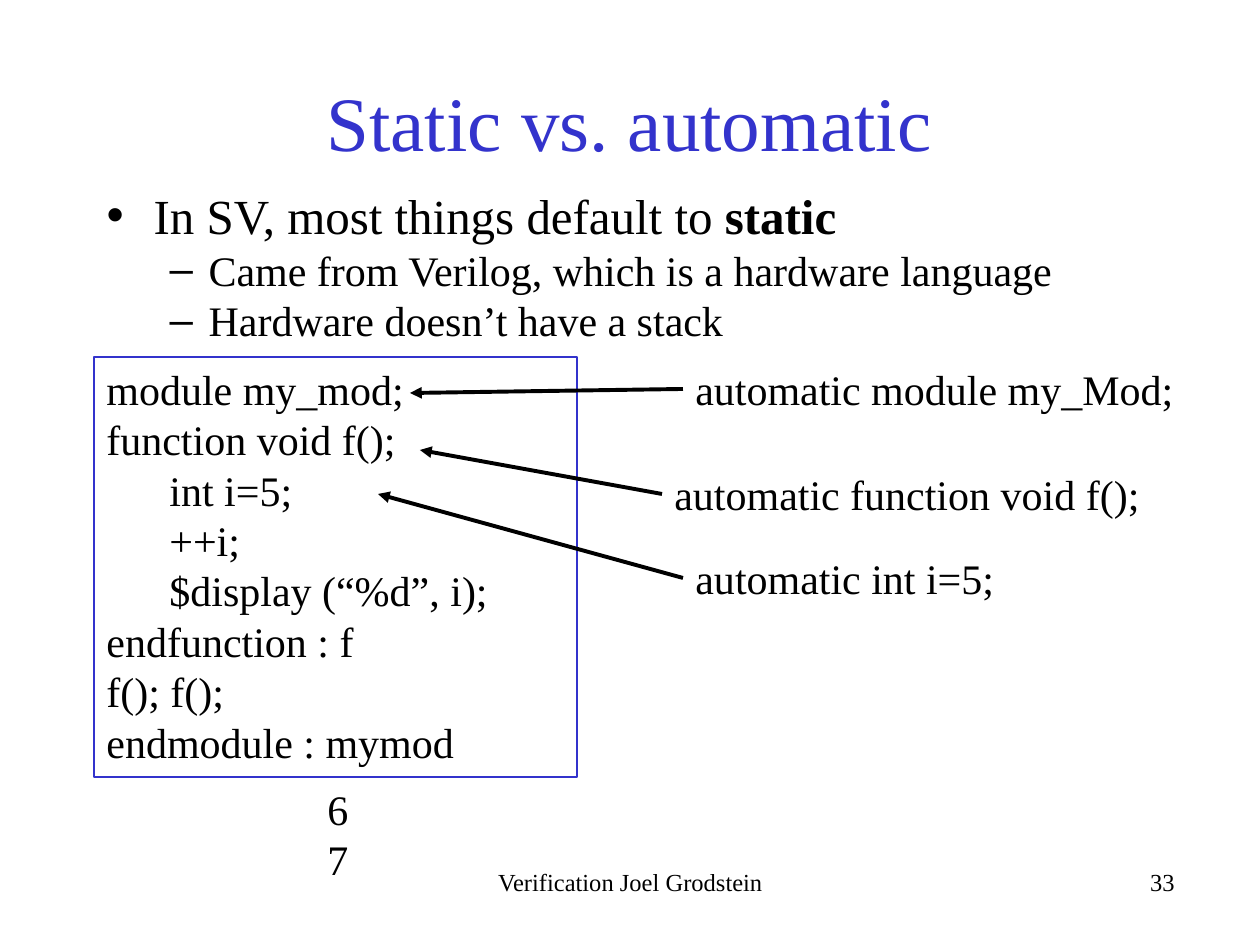
import pptx
import pptx.util
import pptx.dml.color
import pptx.enum.text
import pptx.enum.shapes
import pptx.oxml.ns
import lxml.etree

EMU_PER_PIXEL = 914400 / 126
FONT = "Times New Roman"
BLACK = pptx.dml.color.RGBColor(0x00, 0x00, 0x00)
BLUE = pptx.dml.color.RGBColor(0x33, 0x33, 0xCC)
ALIGN = pptx.enum.text.PP_ALIGN
ANCHOR = pptx.enum.text.MSO_ANCHOR

BULLETS = [
    (0, [("In SV, most things default to ", False), ("static", True)]),
    (1, [("Came from Verilog, which is a hardware language", False)]),
    (1, [("Hardware doesn’t have a stack", False)]),
]
LEVELS = [
    {"size": 28, "margin": 47, "hang": 47, "mark": "•", "before": 5.6},
    {"size": 24, "margin": 102, "hang": 39, "mark": "–", "before": 0},
]
CODE = [
    "module my_mod;",
    "function void f();",
    "\tint i=5;",
    "\t++i;",
    "\t$display (“%d”, i);",
    "endfunction : f",
    "f(); f();",
    "endmodule : mymod",
]
REPLACEMENTS = [
    ("automatic module my_Mod;", (683, 357, 514, 63), (683, 389), (410, 393)),
    ("automatic function void f();", (662, 462, 514, 63), (662, 494), (420, 450)),
    ("automatic int i=5;", (683, 546, 336, 63), (683, 578), (378, 494)),
]


def px(pixels):
    return pptx.util.Emu(round(pixels * EMU_PER_PIXEL))


def place(shape, box):
    shape.left, shape.top, shape.width, shape.height = map(px, box)


def style(paragraph, size, color=BLACK, align=ALIGN.LEFT):
    paragraph.alignment = align
    paragraph.font.name = FONT
    paragraph.font.size = pptx.util.Pt(size)
    paragraph.font.color.rgb = color


def write_lines(frame, lines, size, align=ALIGN.LEFT):
    frame.word_wrap = True
    frame.vertical_anchor = ANCHOR.TOP
    frame.text = "\n".join(lines)
    for paragraph in frame.paragraphs:
        style(paragraph, size, align=align)


def add_label(slide, lines, box, size=24, align=ALIGN.LEFT):
    label = slide.shapes.add_textbox(*map(px, box))
    write_lines(label.text_frame, lines, size, align)


def set_title(slide, text, box):
    title = slide.shapes.title
    place(title, box)
    title.text_frame.text = text
    title.text_frame.vertical_anchor = ANCHOR.MIDDLE
    style(title.text_frame.paragraphs[0], 44, BLUE, ALIGN.CENTER)


def set_bullet(paragraph, level):
    properties = paragraph._p.get_or_add_pPr()
    properties.set("marL", str(px(level["margin"])))
    properties.set("indent", str(px(-level["hang"])))
    mark = lxml.etree.SubElement(properties, pptx.oxml.ns.qn("a:buChar"))
    mark.set("char", level["mark"])


def set_body(slide, bullets, box):
    body = slide.placeholders[1]
    place(body, box)
    frame = body.text_frame
    frame.auto_size = pptx.enum.text.MSO_AUTO_SIZE.NONE
    for index, (depth, runs) in enumerate(bullets):
        paragraph = frame.add_paragraph() if index else frame.paragraphs[0]
        level = LEVELS[depth]
        paragraph.level = depth
        paragraph.space_before = pptx.util.Pt(level["before"])
        style(paragraph, level["size"])
        set_bullet(paragraph, level)
        for text, bold in runs:
            run = paragraph.add_run()
            run.text = text
            run.font.bold = bold


def add_code(slide, lines, box):
    code = slide.shapes.add_shape(
        pptx.enum.shapes.MSO_SHAPE.RECTANGLE, *map(px, box))
    code.shadow.inherit = False
    code.fill.background()
    code.line.color.rgb = BLUE
    code.line.width = pptx.util.Pt(1)
    write_lines(code.text_frame, lines, 24)


def add_arrow(slide, start, end):
    arrow = slide.shapes.add_connector(
        pptx.enum.shapes.MSO_CONNECTOR.STRAIGHT, *map(px, start + end))
    arrow.line.color.rgb = BLACK
    arrow.line.width = pptx.util.Pt(2.25)
    head = lxml.etree.SubElement(
        arrow.line._get_or_add_ln(), pptx.oxml.ns.qn("a:tailEnd"))
    head.set("type", "triangle")
    lxml.etree.SubElement(
        arrow._element.spPr, pptx.oxml.ns.qn("a:effectLst"))


def main():
    deck = pptx.Presentation()
    deck.slide_width, deck.slide_height = px(1260), px(945)
    slide = deck.slides.add_slide(deck.slide_layouts[1])
    set_title(slide, "Static vs. automatic", (94, 42, 1071, 158))
    set_body(slide, BULLETS, (94, 179, 1071, 189))
    add_code(slide, CODE, (94, 357, 483, 420))
    add_label(slide, ["6", "7"], (315, 777, 63, 115))
    for text, box, start, end in REPLACEMENTS:
        add_label(slide, [text], box)
        add_arrow(slide, start, end)
    add_label(slide, ["Verification Joel Grodstein"], (431, 861, 399, 63),
              14, ALIGN.CENTER)
    add_label(slide, ["33"], (788, 861, 399, 63), 14, ALIGN.RIGHT)
    deck.save("out.pptx")


main()
